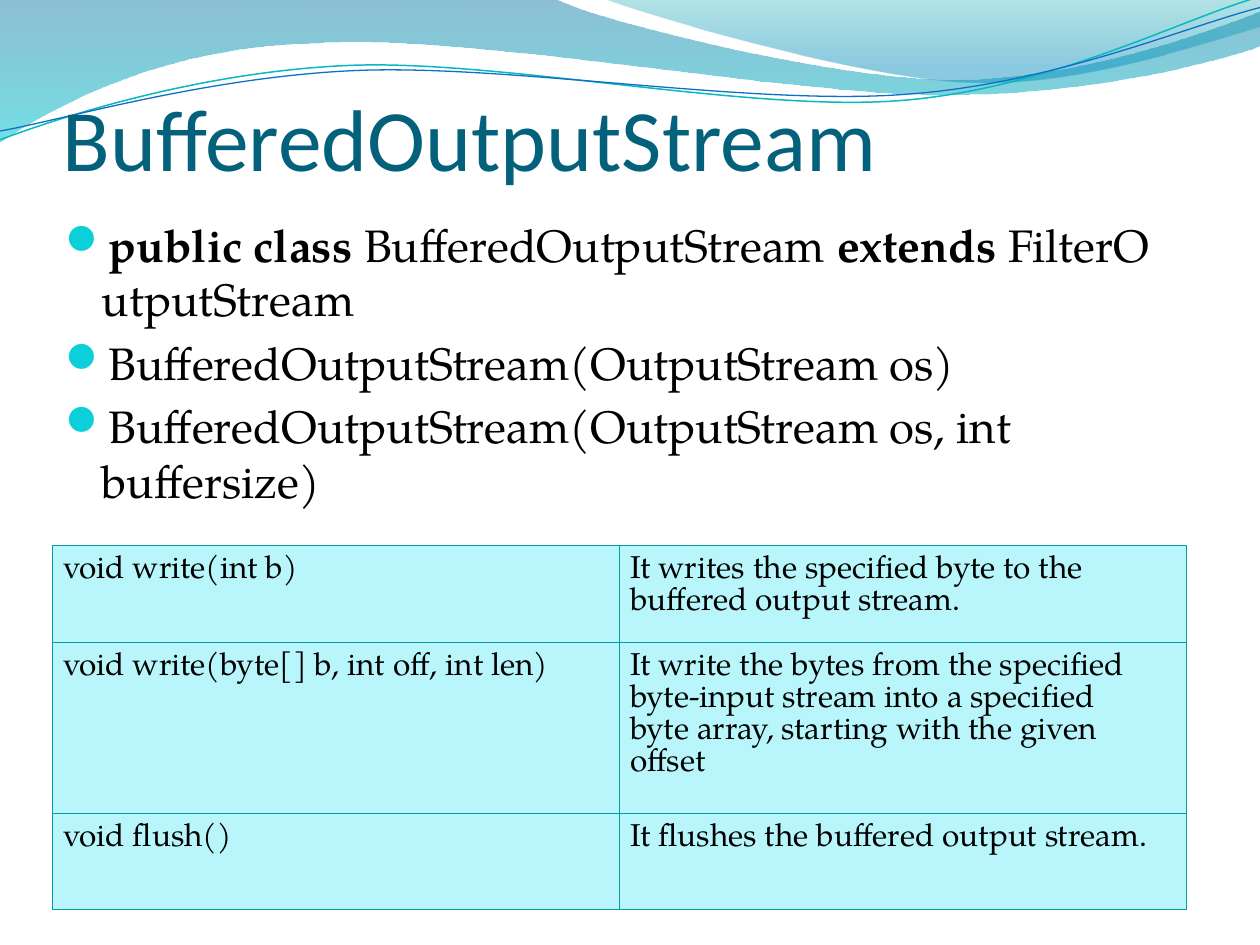
import pptx
import pptx.dml.color
import pptx.enum.text
import pptx.oxml
import pptx.oxml.ns
import pptx.util
from lxml import etree

Inches = pptx.util.Inches
Pt = pptx.util.Pt
qn = pptx.oxml.ns.qn

COLORS = {
    "title": "04617B", "text": "000000", "bullet": "0BD0D9",
    "cell": "B8F6FB", "border": "069CA3",
    "teal": "0AB8BF", "blue": "0F6FC6",
    "band_top": "0074A1", "band_bottom": "00C6CF",
    "crest_top": "00A1A9", "crest_bottom": "008BBF",
}
CODE_FONT = "TeX Gyre Pagella"

BAND = [
    (0, 0), (4.4, -0.01),
    (4.76, 0.17, 6.64, 0.63, 7.58, 0.63), (8.53, 0.63, 9.58, 0.26, 10, 0.09),
    (10.01, 0.36),
    (9.83, 0.44, 8.7, 0.76, 7.46, 0.75), (6.22, 0.75, 3.82, 0.28, 2.57, 0.34),
    (1.29, 0.36, 0.46, 0.83, -0.01, 1.13), (0, 0),
]
CREST = [
    (4.79, -0.01), (5.09, 0.11, 6.82, 0.62, 7.69, 0.65),
    (8.56, 0.69, 9.61, 0.32, 10, 0.21), (10, 0), (4.79, -0.01),
]
TEAL_WAVE = [
    (0, 1.11), (0.48, 0.93, 1.58, 0.57, 2.77, 0.52),
    (3.95, 0.47, 5.93, 0.89, 7.13, 0.8), (8.33, 0.71, 9.38, 0.15, 9.98, -0.02),
]
BLUE_WAVE = [
    (0, 1.04), (0.47, 0.96, 1.64, 0.61, 2.83, 0.56),
    (4.03, 0.51, 5.97, 0.84, 7.17, 0.75), (8.36, 0.67, 9.41, 0.21, 10, 0.06),
]
SIGNATURES = [
    [("public\u00a0class\u00a0", True), ("BufferedOutputStream\u00a0", False),
     ("extends\u00a0", True), ("FilterOutputStream", False)],
    [("BufferedOutputStream(OutputStream os)", False)],
    [("BufferedOutputStream(OutputStream os, int buffersize)", False)],
]
METHODS = [
    (0.77, "void write(int b)",
     "It writes the specified byte to the buffered output stream."),
    (1.36, "void write(byte[] b, int off, int len)",
     "It write the bytes from the specified byte-input stream into a specified "
     "byte\u00a0array, starting with the given offset"),
    (0.76, "void flush()", "It flushes the buffered output stream."),
]


def rgb(name):
    return pptx.dml.color.RGBColor.from_string(COLORS[name])


def add_text(paragraph, text, size=18, font=CODE_FONT, color="text", bold=False):
    run = paragraph.add_run()
    run.text = text
    run.font.size = Pt(size)
    run.font.name = font
    run.font.bold = bold
    run.font.color.rgb = rgb(color)


def add_outline(slide, segments, close):
    anchors = [(Inches(segment[-2]), Inches(segment[-1])) for segment in segments]
    builder = slide.shapes.build_freeform(*anchors[0], scale=1.0)
    builder.add_line_segments(anchors[1:], close=close)
    outline = builder.convert_to_shape()
    outline.shadow.inherit = False
    strokes = list(outline._element.spPr.iter(qn("a:lnTo")))
    for stroke, segment in zip(strokes, segments[1:]):
        if len(segment) == 6:
            curve = etree.Element(qn("a:cubicBezTo"))
            for x, y in zip(segment[::2], segment[1::2]):
                etree.SubElement(curve, qn("a:pt"),
                                 x=str(Inches(x) - outline.left),
                                 y=str(Inches(y) - outline.top))
            stroke.getparent().replace(stroke, curve)
    return outline


def add_band(slide, segments, stops):
    band = add_outline(slide, segments, True)
    band.line.fill.background()
    band.fill.gradient()
    band.fill.gradient_angle = 270
    for stop, (position, color, opacity) in zip(band.fill.gradient_stops, stops):
        stop.position = position
        stop.color.rgb = rgb(color)
    tints = band._element.spPr.find(qn("a:gradFill")).iter(qn("a:srgbClr"))
    for tint, (position, color, opacity) in zip(tints, stops):
        etree.SubElement(tint, qn("a:alpha")).set("val", str(opacity * 1000))


def add_wave(slide, segments, color, width):
    wave = add_outline(slide, segments, False)
    wave.fill.background()
    wave.line.color.rgb = rgb(color)
    wave.line.width = Pt(width)


def add_title(slide, text):
    frame = slide.shapes.add_textbox(
        Inches(0.5), Inches(0.25), Inches(9), Inches(1.25)).text_frame
    frame.word_wrap = True
    frame.vertical_anchor = pptx.enum.text.MSO_ANCHOR.BOTTOM
    frame.margin_left = frame.margin_right = frame.margin_bottom = 0
    add_text(frame.paragraphs[0], text, size=50, font="Calibri", color="title")


def set_bullet(paragraph):
    properties = paragraph._p.get_or_add_pPr()
    properties.set("marL", str(Inches(0.29)))
    properties.set("indent", str(-Inches(0.29)))
    color = etree.SubElement(properties, qn("a:buClr"))
    etree.SubElement(color, qn("a:srgbClr")).set("val", COLORS["bullet"])
    etree.SubElement(properties, qn("a:buSzPct")).set("val", "95000")
    etree.SubElement(properties, qn("a:buFont"), typeface="Wingdings 2", charset="2")
    etree.SubElement(properties, qn("a:buChar")).set("char", "\uf097")


def add_signatures(slide):
    frame = slide.shapes.add_textbox(
        Inches(0.42), Inches(1.67), Inches(9), Inches(4.8)).text_frame
    frame.word_wrap = True
    for index, signature in enumerate(SIGNATURES):
        paragraph = frame.add_paragraph() if index else frame.paragraphs[0]
        paragraph.space_before = Pt(5.2)
        set_bullet(paragraph)
        for text, bold in signature:
            add_text(paragraph, text, size=26, bold=bold)


def fill_cell(cell, text):
    cell.margin_left = cell.margin_right = Inches(0.08)
    cell.margin_top = cell.margin_bottom = Inches(0.08)
    properties = cell._tc.get_or_add_tcPr()
    for side in ("a:lnL", "a:lnR", "a:lnT", "a:lnB"):
        border = etree.SubElement(properties, qn(side), w=str(Pt(0.75)))
        paint = etree.SubElement(border, qn("a:solidFill"))
        etree.SubElement(paint, qn("a:srgbClr")).set("val", COLORS["border"])
    cell.fill.solid()
    cell.fill.fore_color.rgb = rgb("cell")
    paragraph = cell.text_frame.paragraphs[0]
    paragraph.line_spacing = Pt(18.2)
    add_text(paragraph, text)


def add_methods(slide):
    height = sum(method[0] for method in METHODS)
    table = slide.shapes.add_table(
        len(METHODS), 2, Inches(0.42), Inches(4.33), Inches(9), Inches(height)).table
    table.first_row = table.horz_banding = False
    for row, (row_height, *texts) in zip(table.rows, METHODS):
        row.height = Inches(row_height)
        for cell, text in zip(row.cells, texts):
            fill_cell(cell, text)


def main():
    deck = pptx.Presentation()
    deck.slide_width, deck.slide_height = Inches(10), Inches(7.5)
    slide = deck.slides.add_slide(deck.slide_layouts[6])
    add_band(slide, BAND, [(0, "band_top", 45), (1, "band_bottom", 55)])
    add_band(slide, CREST, [(0, "crest_top", 30), (0.8, "crest_bottom", 45)])
    add_wave(slide, TEAL_WAVE, "teal", 0.85)
    add_wave(slide, BLUE_WAVE, "blue", 0.75)
    add_title(slide, "BufferedOutputStream")
    add_signatures(slide)
    add_methods(slide)
    deck.save("out.pptx")


main()
